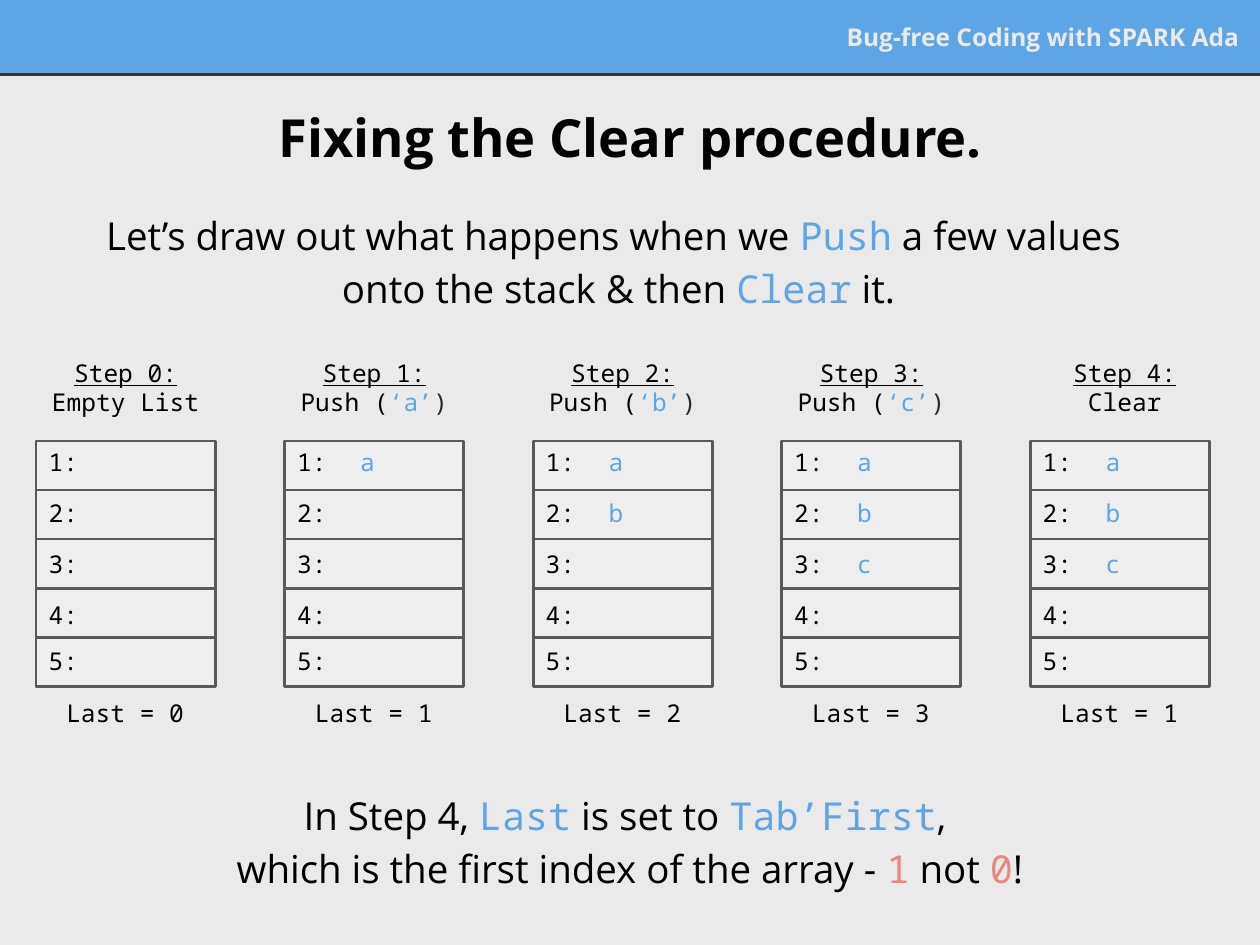
from lxml import etree
from pptx import Presentation
from pptx.dml.color import RGBColor
from pptx.enum.shapes import MSO_CONNECTOR, MSO_SHAPE
from pptx.enum.text import MSO_ANCHOR, MSO_AUTO_SIZE, PP_ALIGN
from pptx.oxml.ns import qn
from pptx.util import Cm, Pt

RECTANGLE, STRAIGHT = MSO_SHAPE.RECTANGLE, MSO_CONNECTOR.STRAIGHT
TOP, MIDDLE = MSO_ANCHOR.TOP, MSO_ANCHOR.MIDDLE
LEFT, CENTER, RIGHT = PP_ALIGN.LEFT, PP_ALIGN.CENTER, PP_ALIGN.RIGHT

BLUE = RGBColor(0x5E, 0xA5, 0xE5)
RED = RGBColor(0xED, 0x85, 0x7F)
BLACK = RGBColor(0, 0, 0)
CHARCOAL = RGBColor(0x29, 0x29, 0x29)
RULE = RGBColor(0x35, 0x35, 0x35)
BORDER = RGBColor(0x59, 0x59, 0x59)
CELL = RGBColor(0xEE, 0xEE, 0xEE)
PAPER = RGBColor(0xEA, 0xEA, 0xEA)
SANS, MONO = "Open Sans", "Noto Sans Mono"


# Content: a paragraph is a list of (text, font, colour) runs
def prose(text):
    return text, SANS, BLACK


def code(text, color=BLACK):
    return text, MONO, color


def push_label(value):
    return [code("Push ("), code(f"‘{value}’", BLUE), code(")", CHARCOAL)]


COURSE = "Bug-free Coding with SPARK Ada"
TITLE = "Fixing the Clear procedure."
INTRO = [
    [prose("Let’s draw out what happens when we "), code("Push", BLUE),
     prose(" a few values ")],
    [prose("onto the stack & then "), code("Clear", BLUE), prose(" it.")],
]
CONCLUSION = [
    [prose("In Step 4, "), code("Last", BLUE), prose(" is set to "),
     code("Tab’First", BLUE), prose(", ")],
    [prose("which is the first index of the array - "), code("1", RED),
     prose(" not "), code("0", RED), prose("!")],
]
# Operation, stored values, Last, shift of the heading in cm
STEPS = [
    ([code("Empty List")], "", 0, -0.1),
    (push_label("a"), "a", 1, -0.1),
    (push_label("b"), "ab", 2, -0.1),
    (push_label("c"), "abc", 3, -0.1),
    ([code("Clear")], "abc", 1, 0),
]

# Stack grid in cm
STACK_LEFT, STACK_TOP, STACK_PITCH = 0.73, 8.89, 5.01
CELL_WIDTH, CELL_HEIGHT = 3.61, 0.99
INDEX_TOPS = [8.76, 9.8, 10.82, 11.84, 12.78]


def fill_text(box, paragraphs, size, align=CENTER, anchor=TOP, spacing=None):
    frame = box.text_frame
    frame.word_wrap = True
    frame.auto_size = MSO_AUTO_SIZE.NONE
    frame.vertical_anchor = anchor
    frame.margin_left = frame.margin_right = Cm(0.25)
    frame.margin_top = frame.margin_bottom = Cm(0.25)
    for number, runs in enumerate(paragraphs):
        paragraph = frame.add_paragraph() if number else frame.paragraphs[0]
        paragraph.alignment = align
        if spacing:
            paragraph.line_spacing = spacing
        for text, font, color in runs:
            run = paragraph.add_run()
            run.text = text
            run.font.name = font
            run.font.size = Pt(size)
            run.font.color.rgb = color
    return frame


def add_text(shapes, left, top, width, height, paragraphs, size, **layout):
    box = shapes.add_textbox(Cm(left), Cm(top), Cm(width), Cm(height))
    return fill_text(box, paragraphs, size, **layout)


def add_rectangle(shapes, left, top, width, height, fill, line, weight):
    shape = shapes.add_shape(RECTANGLE, Cm(left), Cm(top), Cm(width), Cm(height))
    shape.shadow.inherit = False
    shape.fill.solid()
    shape.fill.fore_color.rgb = fill
    shape.line.color.rgb = line
    shape.line.width = Pt(weight)


def add_step(slide, number, operation, values, last, heading_shift):
    left = STACK_LEFT + number * STACK_PITCH
    shapes = slide.shapes.add_group_shape().shapes
    for row in range(len(INDEX_TOPS)):
        add_rectangle(shapes, left, STACK_TOP + row * CELL_HEIGHT,
                      CELL_WIDTH, CELL_HEIGHT, CELL, BORDER, 1.5)
    for row, top in enumerate(INDEX_TOPS):
        entry = [code(f"{row + 1}:")]
        if row < len(values):
            entry = [code(f"{row + 1}:\t"), code(values[row], BLUE)]
        add_text(shapes, left, top, CELL_WIDTH, 0.94, [entry], 14, align=LEFT)
    add_text(shapes, left + 0.12, 13.82, 3.35, 1.02,
             [[code(f"Last = {last}")]], 14)
    heading = add_text(shapes, left + heading_shift, 6.86, 3.81, 1.9,
                       [[code(f"Step {number}:")], operation], 14, anchor=MIDDLE)
    heading.paragraphs[0].runs[0].font.underline = True


def main():
    deck = Presentation()
    deck.slide_width, deck.slide_height = Cm(25.4), Cm(19.05)
    slide = deck.slides.add_slide(deck.slide_layouts[5])
    slide.background.fill.solid()
    slide.background.fill.fore_color.rgb = PAPER

    # Header band
    add_rectangle(slide.shapes, 0, 0, 25.4, 1.5, BLUE, BLUE, 0.75)
    rule = slide.shapes.add_connector(STRAIGHT, 0, Cm(1.5), Cm(25.4), Cm(1.5))
    rule.line.color.rgb = RULE
    rule.line.width = Pt(1.5)
    etree.SubElement(rule._element.spPr, qn("a:effectLst"))
    course = add_text(slide.shapes, 14.83, 0.25, 10.41, 0.97,
                      [[(COURSE, SANS, PAPER)]], 14, align=RIGHT, anchor=MIDDLE)
    course.paragraphs[0].runs[0].font.bold = True

    # Title and introduction
    title = slide.shapes.title
    title.left, title.top = Cm(0.46), Cm(1.6)
    title.width, title.height = Cm(24.51), Cm(2.29)
    heading = fill_text(title, [[prose(TITLE)]], 30, anchor=MIDDLE)
    heading.paragraphs[0].runs[0].font.bold = True
    add_text(slide.shapes, 0.81, 3.89, 23.32, 2.29, INTRO, 22, spacing=1.15)

    # Stack after each step
    for number, step in enumerate(STEPS):
        add_step(slide, number, *step)

    # Conclusion
    add_text(slide.shapes, 1.04, 15.57, 23.32, 2.29, CONCLUSION, 22, spacing=1.15)
    deck.save("out.pptx")


if __name__ == "__main__":
    main()
